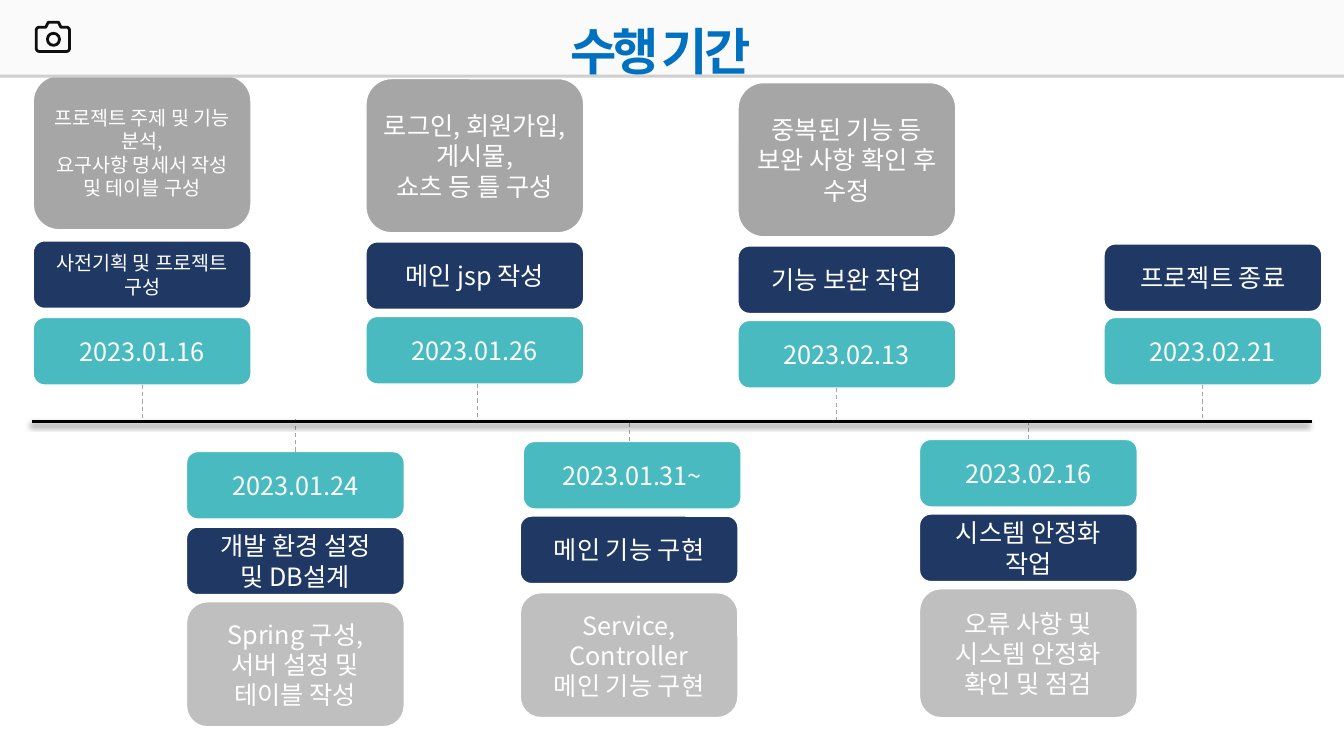
"""Build the project schedule slide: a timeline of dated cards."""
from math import cos, radians, sin

from lxml import etree
from pptx import Presentation
from pptx.dml.color import RGBColor
from pptx.enum.dml import MSO_LINE
from pptx.enum.shapes import MSO_CONNECTOR, MSO_SHAPE
from pptx.enum.text import MSO_ANCHOR, MSO_AUTO_SIZE, PP_ALIGN
from pptx.oxml import parse_xml
from pptx.oxml.ns import qn
from pptx.util import Pt

PX = 9144
RECT, ROUND, OVAL = MSO_SHAPE.RECTANGLE, MSO_SHAPE.ROUNDED_RECTANGLE, MSO_SHAPE.OVAL
STRAIGHT, DASH = MSO_CONNECTOR.STRAIGHT, MSO_LINE.DASH
MIDDLE, CENTER, FIXED = MSO_ANCHOR.MIDDLE, PP_ALIGN.CENTER, MSO_AUTO_SIZE.NONE
FONT = "Noto Sans CJK KR"
HUES = {
    "white": "FFFFFF", "black": "000000", "navy": "203864", "teal": "48BAC0",
    "upper": "A6A6A6", "lower": "BFBFBF", "stem": "A5A5A5", "edge": "CFCFCF",
    "bar": "FAFAFA", "ink": "0F0F0F", "title": "0070C0",
}
FRAME = {"word_wrap": True, "auto_size": FIXED, "vertical_anchor": MIDDLE}
WIDE, TALL, AXIS = 216, 67, 418
SHADOW = (
    '<a:outerShdw xmlns:a="http://schemas.openxmlformats.org/drawingml/2006/main" '
    'blurRad="50800" dist="38100" dir="8100000" algn="tr" rotWithShape="0">'
    '<a:srgbClr val="000000"><a:alpha val="40000"/></a:srgbClr></a:outerShdw>'
)

# left, stem x, stem end, (date top, text), (label top, size, lines), (note top, height, size, lines)
STEPS = [
    (33, 141, 415, (315, "2023.01.16"), (239, 14, ["사전기획 및 프로젝트 구성"]),
     (75, 153, 14, ["프로젝트 주제 및 기능 분석,", "요구사항 명세서 작성 및 테이블 구성"])),
    (185, 293, 414, (448, "2023.01.24"), (523, 18, ["개발 환경 설정", "및 DB설계"]),
     (597, 124, 18, ["Spring 구성,", "서버 설정 및", "테이블 작성"])),
    (363, 474, 415, (314, "2023.01.26"), (240, 18, ["메인 jsp 작성"]),
     (78, 153, 18, ["로그인, 회원가입, 게시물,", "쇼츠 등 틀 구성"])),
    (516, 624, 418, (438, "2023.01.31~"), (512, 18, ["메인 기능 구현"]),
     (588, 124, 18, ["Service,", "Controller", "메인 기능 구현"])),
    (732, 830, 418, (318, "2023.02.13"), (244, 18, ["기능 보완 작업"]),
     (82, 153, 18, ["중복된 기능 등 보완 사항 확인 후 수정"])),
    (912, 1020, 420, (436, "2023.02.16"), (510, 18, ["시스템 안정화 작업"]),
     (584, 128, 18, ["오류 사항 및", "시스템 안정화 확인 및 점검"])),
    (1095, 1193, 415, (315, "2023.02.21"), (242, 18, ["프로젝트 종료"]), None),
]
SHIFTS = {"2023.01.31~": 3}


def hue(name):
    return RGBColor.from_string(HUES[name])


def apply(target, values):
    for key, value in values.items():
        setattr(target, key, value)


def write(frame, lines, size, color, bold=False):
    apply(frame, FRAME)
    frame.text = "\n".join(lines)
    for para in frame.paragraphs:
        para.alignment = CENTER
        for run in para.runs:
            apply(run.font, {"size": Pt(size), "name": FONT, "bold": bold})
            run.font.color.rgb = hue(color)
            latin = run.font._element.find(qn("a:latin"))
            east = etree.Element(qn("a:ea"), typeface=FONT)
            latin.addnext(east)


def paint(shape, fill=None, line=None, width=1):
    shape.shadow.inherit = False
    if fill:
        shape.fill.solid()
        shape.fill.fore_color.rgb = hue(fill)
    else:
        shape.fill.background()
    if line:
        shape.line.color.rgb = hue(line)
        shape.line.width = Pt(width)
    else:
        shape.line.fill.background()


def block(slide, kind, box, fill=None, line=None, width=1):
    shape = slide.shapes.add_shape(kind, *(n * PX for n in box))
    paint(shape, fill, line, width)
    return shape


def card(slide, box, fill, lines, size=18):
    shape = block(slide, ROUND, box, fill, "white")
    write(shape.text_frame, lines, size, "white")
    return shape


def rule(slide, start, end, color, width, dash=None):
    line = slide.shapes.add_connector(STRAIGHT, *(n * PX for n in start + end))
    line.line.color.rgb = hue(color)
    apply(line.line, {"width": Pt(width), "dash_style": dash})
    effects = etree.SubElement(line._element.spPr, qn("a:effectLst"))
    return line, effects


def step(slide, left, stem, end, date, label, note):
    above = date[0] < AXIS
    x = left + SHIFTS.get(date[1], 0)
    day = card(slide, (x, date[0], WIDE, TALL), "teal", [date[1]])
    card(slide, (left, label[0], WIDE, TALL), "navy", label[2], label[1])
    if note:
        top, height, size, lines = note
        fill = "upper" if above else "lower"
        card(slide, (left, top, WIDE, height), fill, lines, size)
    start = date[0] + TALL if above else date[0]
    line, _ = rule(slide, (stem, start), (stem, end), "stem", 0.75, DASH)
    if stem == x + WIDE // 2:
        line.begin_connect(day, 2 if above else 0)


def camera(slide):
    """Outline in tenths of a px, with round corners of one radius."""
    r = 30
    corners = [(660, 300, 270), (660, 480, 0), (390, 480, 90), (390, 300, 180)]
    points = [(580, 220), (605, 270)]
    for x, y, turn in corners:
        for angle in range(turn, turn + 91, 15):
            points.append((x + r * cos(radians(angle)), y + r * sin(radians(angle))))
    points.append((455, 270))
    pen = slide.shapes.build_freeform(480, 220, PX / 10)
    pen.add_line_segments(points)
    paint(pen.convert_to_shape(), None, "ink", 2)
    block(slide, OVAL, (47, 33, 12, 12), None, "ink", 2)


def header(slide):
    block(slide, RECT, (0, 3, 1333, 74), "edge")
    block(slide, RECT, (0, 0, 1333, 74), "bar")
    camera(slide)
    title = slide.shapes.title
    box = {"left": 100, "top": 14, "width": 1110, "height": 71}
    apply(title, {key: n * PX for key, n in box.items()})
    write(title.text_frame, ["수행 기간"], 36, "title", True)
    title.text_frame.paragraphs[0].runs[0].font._element.set("spc", "-300")
    slide.shapes._spTree.append(title._element)


def main():
    deck = Presentation()
    apply(deck, {"slide_width": 1333 * PX, "slide_height": 750 * PX})
    slide = deck.slides.add_slide(deck.slide_layouts[5])
    for item in STEPS:
        step(slide, *item)
    _, effects = rule(slide, (32, AXIS), (1301, AXIS), "black", 2)
    effects.append(parse_xml(SHADOW))
    header(slide)
    deck.save("out.pptx")


if __name__ == "__main__":
    main()
